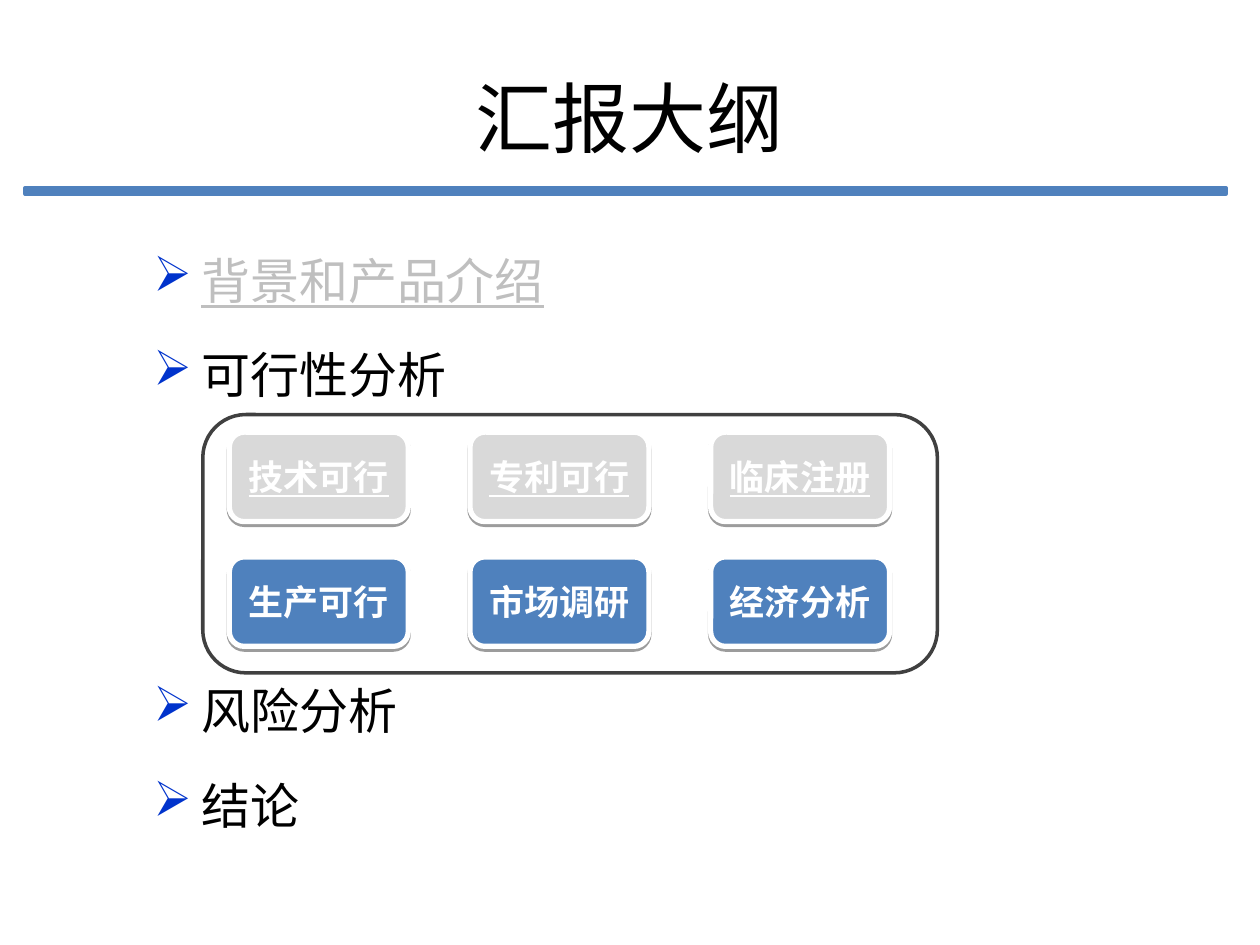
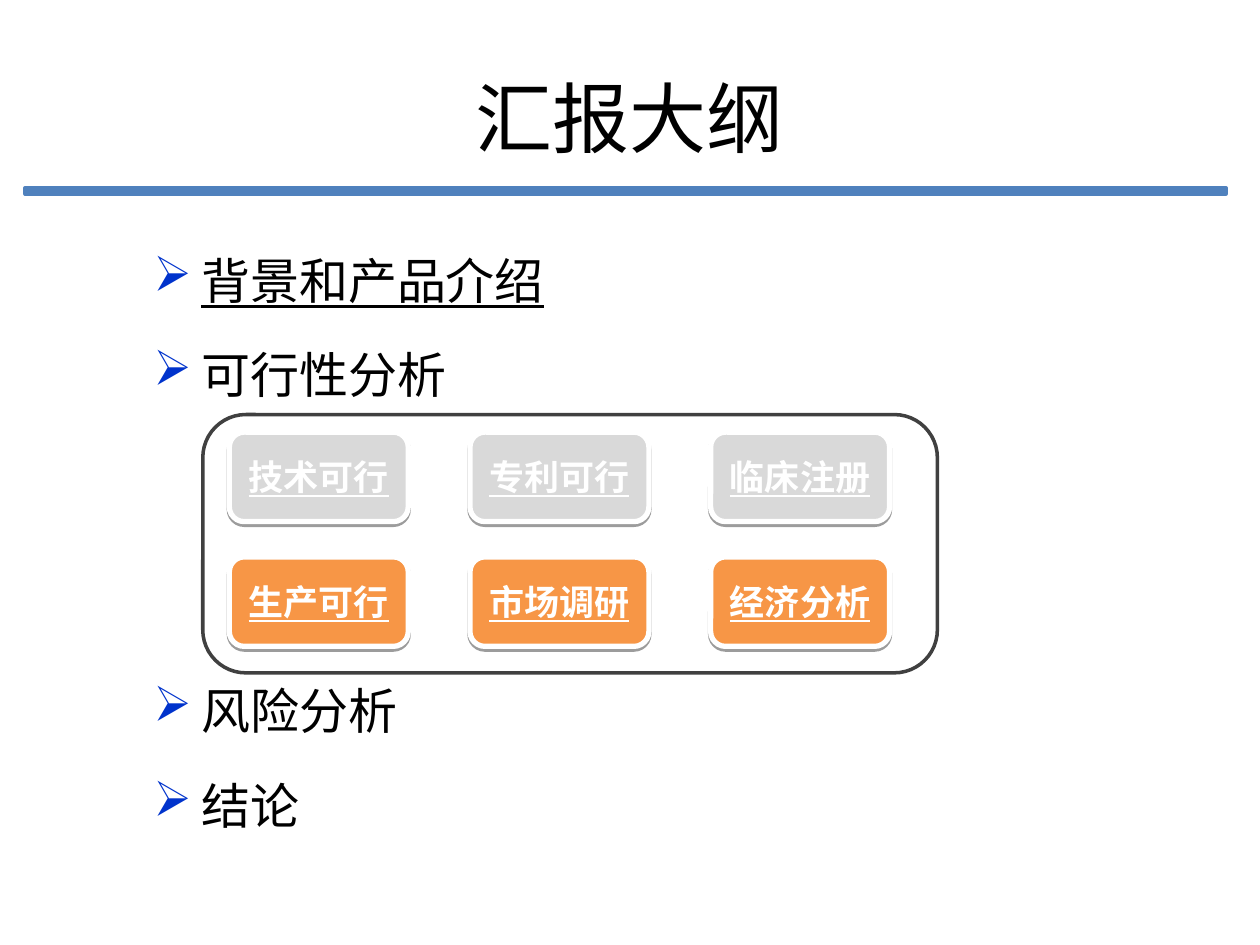
import lxml.etree
import pptx
import pptx.dml.color
import pptx.enum.shapes
import pptx.enum.text
import pptx.oxml.ns
import pptx.util

RGBColor = pptx.dml.color.RGBColor
SHAPES = pptx.enum.shapes.MSO_SHAPE
Pt = pptx.util.Pt
qn = pptx.oxml.ns.qn

BLACK = RGBColor(0x00, 0x00, 0x00)
WHITE = RGBColor(0xFF, 0xFF, 0xFF)
BLUE = RGBColor(0x4F, 0x81, 0xBD)
ORANGE = RGBColor(0xF7, 0x96, 0x46)
BULLET_BLUE = RGBColor(0x00, 0x33, 0xCC)
DONE_FILL = RGBColor(0xD9, 0xD9, 0xD9)
DONE_TEXT = RGBColor(0xBF, 0xBF, 0xBF)
FRAME_GRAY = RGBColor(0x40, 0x40, 0x40)
FONT = "Calibri"

# The slide is a grid of 10 columns by 7.5 rows of one-inch units.
COLUMNS, ROWS = 10, 7.5
UNIT = pptx.util.Inches(1)

TITLE = "汇报大纲"
TOPICS = ["背景和产品介绍", "可行性分析", "风险分析", "结论"]
TOPIC_GAP = 7
FRAME_GAP = 145
FRAMED_TOPIC = 1

STUDIES = [["技术可行", "专利可行", "临床注册"],
           ["生产可行", "市场调研", "经济分析"]]
STUDY_LEFT, STUDY_TOP = 1.82, 3.43
STUDY_WIDTH, STUDY_HEIGHT = 1.42, 0.71
STUDY_COLUMN_STEP, STUDY_ROW_STEP = 1.91, 0.99


def on_grid(*lengths):
    return [round(length * UNIT) for length in lengths]


def style_font(paragraph, size, color, bold=False, underline=False):
    font = paragraph.font
    font.name = FONT
    font.size = Pt(size)
    font.color.rgb = color
    font.bold = bold
    font.underline = underline


def add_text_frame(slide, left, top, width, height):
    box = slide.shapes.add_textbox(*on_grid(left, top, width, height))
    box.text_frame.word_wrap = True
    return box.text_frame


def add_block(slide, preset, place, fill, line, line_width):
    """Add a preset shape; a fill of None leaves it hollow."""
    shape = slide.shapes.add_shape(preset, *on_grid(*place))
    shape.shadow.inherit = False
    if fill is None:
        shape.fill.background()
    else:
        shape.fill.solid()
        shape.fill.fore_color.rgb = fill
    shape.line.color.rgb = line
    shape.line.width = Pt(line_width)
    return shape


def add_drop_shadow(shape):
    effects = shape._element.spPr.find(qn("a:effectLst"))
    shadow = lxml.etree.SubElement(effects, qn("a:outerShdw"), blurRad="0",
                                   dist=str(Pt(1.6)), dir="5400000", rotWithShape="0")
    color = lxml.etree.SubElement(shadow, qn("a:srgbClr"), val=str(BLACK))
    lxml.etree.SubElement(color, qn("a:alpha"), val="38000")


def add_arrow_bullet(paragraph):
    properties = paragraph._p.get_or_add_pPr()
    indent = round(0.38 * UNIT)
    properties.set("marL", str(indent))
    properties.set("indent", str(-indent))
    color = lxml.etree.SubElement(properties, qn("a:buClr"))
    lxml.etree.SubElement(color, qn("a:srgbClr"), val=str(BULLET_BLUE))
    lxml.etree.SubElement(properties, qn("a:buChar"), char="➢")


def add_title(slide):
    add_block(slide, SHAPES.RECTANGLE, (0.2, 1.49, 9.53, 0.05), BLUE, BLUE, 2)
    text_frame = add_text_frame(slide, 0.5, 0.3, 9, 1.25)
    text_frame.vertical_anchor = pptx.enum.text.MSO_ANCHOR.MIDDLE
    paragraph = text_frame.paragraphs[0]
    paragraph.text = TITLE
    paragraph.alignment = pptx.enum.text.PP_ALIGN.CENTER
    style_font(paragraph, 44, BLACK)


def add_topics(slide, first_color):
    """List the topics, leaving room for the frame below the framed topic."""
    text_frame = add_text_frame(slide, 1.12, 1.75, 9, 5.15)
    for index, topic in enumerate(TOPICS):
        first = index == 0
        paragraph = text_frame.paragraphs[0] if first else text_frame.add_paragraph()
        paragraph.text = topic
        paragraph.line_spacing = 1.4
        if not first:
            after_frame = index == FRAMED_TOPIC + 1
            paragraph.space_before = Pt(FRAME_GAP if after_frame else TOPIC_GAP)
        add_arrow_bullet(paragraph)
        style_font(paragraph, 28, first_color if first else BLACK, underline=first)


def add_study(slide, name, column, row, fill, underline):
    place = (STUDY_LEFT + column * STUDY_COLUMN_STEP, STUDY_TOP + row * STUDY_ROW_STEP,
             STUDY_WIDTH, STUDY_HEIGHT)
    button = add_block(slide, SHAPES.ROUNDED_RECTANGLE, place, fill, WHITE, 3)
    add_drop_shadow(button)
    button.text_frame.vertical_anchor = pptx.enum.text.MSO_ANCHOR.MIDDLE
    paragraph = button.text_frame.paragraphs[0]
    paragraph.text = name
    paragraph.alignment = pptx.enum.text.PP_ALIGN.CENTER
    style_font(paragraph, 20, WHITE, bold=True, underline=underline)


def add_outline_slide(presentation, first_color, open_fill, open_underline):
    slide = presentation.slides.add_slide(presentation.slide_layouts[6])
    add_title(slide)
    add_topics(slide, first_color)
    row_styles = [(DONE_FILL, True), (open_fill, open_underline)]
    for row, (names, style) in enumerate(zip(STUDIES, row_styles)):
        for column, name in enumerate(names):
            add_study(slide, name, column, row, *style)
    add_block(slide, SHAPES.ROUNDED_RECTANGLE, (1.61, 3.29, 5.83, 2.05),
              None, FRAME_GRAY, 2)


def main():
    presentation = pptx.Presentation()
    presentation.slide_width, presentation.slide_height = on_grid(COLUMNS, ROWS)
    add_outline_slide(presentation, DONE_TEXT, BLUE, False)
    add_outline_slide(presentation, BLACK, ORANGE, True)
    presentation.save("out.pptx")


if __name__ == "__main__":
    main()
